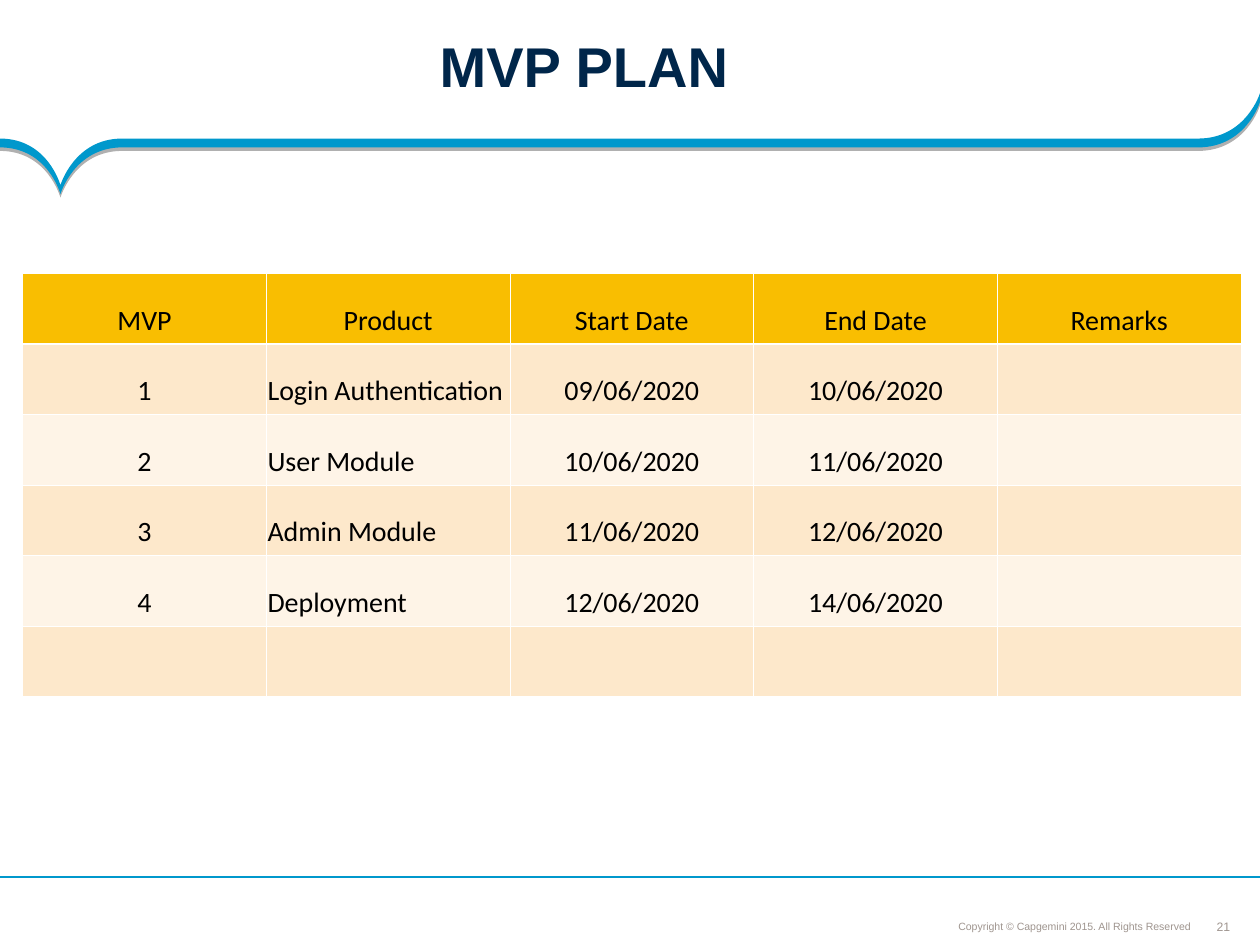
from dataclasses import dataclass

from lxml.etree import SubElement
from pptx import Presentation
from pptx.dml.color import RGBColor as Rgb
from pptx.enum.shapes import MSO_CONNECTOR as Link
from pptx.enum.text import MSO_ANCHOR as Anchor, PP_ALIGN as Align
from pptx.oxml import parse_xml
from pptx.oxml.ns import nsdecls, qn
from pptx.util import Inches, Pt


@dataclass(frozen=True)
class Theme:
    navy: str = "00264A"
    blue: str = "0098CC"
    gray: str = "9F958F"
    black: str = "000000"
    white: str = "FFFFFF"
    gold: str = "F9BE01"
    bands: tuple = ("FDE8CB", "FEF4E7")
    head: str = "Arial"
    body: str = "Calibri"
    title: float = 32
    cell: float = 16
    foot: float = 6
    page: float = 7


THEME = Theme()
ROWS = [
    ("MVP", "Product", "Start Date", "End Date", "Remarks"),
    ("1", "Login Authentication", "09/06/2020", "10/06/2020", ""),
    ("2", "User Module", "10/06/2020", "11/06/2020", ""),
    ("3", "Admin Module", "11/06/2020", "12/06/2020", ""),
    ("4", "Deployment", "12/06/2020", "14/06/2020", ""),
    ("", "", "", "", ""),
]


def style(para, face, size, color, align, bold=False):
    para.alignment = align
    for run in para.runs:
        font = run.font
        font.name, font.size, font.bold = face, Pt(size), bold
        font.color.rgb = Rgb.from_string(color)


def set_pads(item, pads):
    """Set left, top, right and bottom margins of a text frame or cell."""
    (item.margin_left, item.margin_top,
     item.margin_right, item.margin_bottom) = map(Inches, pads)


def add_label(slide, text, at, size, color, align, anchor,
              pads=(0, 0, 0, 0), bold=False, wrap=True):
    frame = slide.shapes.add_textbox(*map(Inches, at)).text_frame
    frame.word_wrap = wrap
    frame.vertical_anchor = anchor
    set_pads(frame, pads)
    frame.text = text
    para = frame.paragraphs[0]
    style(para, THEME.head, size, color, align, bold)
    return para


def bend(shape):
    """Turn each three line segments of a freeform into one Bezier curve."""
    lines = list(shape.element.iter(qn("a:lnTo")))
    for a, b, c in zip(lines[::3], lines[1::3], lines[2::3]):
        a.addprevious(curve := parse_xml(f'<a:cubicBezTo {nsdecls("a")}/>'))
        for line in (a, b, c):
            curve.append(line[0])
            line.getparent().remove(line)


def add_ribbon(slide):
    base, depth = 1.1, 0.07
    left, mid, right = (0, base), (0.97, base), (9.51, base)
    tip, end = (0.48, 1.47), (10, 0.74)
    upper = [left, (0.38, base), tip, tip,
             tip, (0.59, base), mid,
             mid, right, right,
             (9.89, base), end, end]
    lower = [(x, y + depth) for x, y in reversed(upper)]
    nodes = upper + [end, lower[0], *lower] + [lower[-1], left, left]
    points = [(Inches(x), Inches(y)) for x, y in nodes]
    pen = slide.shapes.build_freeform(*points[0])
    pen.add_line_segments(points[1:], close=True)
    shape = pen.convert_to_shape()
    bend(shape)
    shape.fill.solid()
    shape.fill.fore_color.rgb = Rgb.from_string(THEME.blue)
    shape.line.fill.background()
    shape.element.spPr.append(parse_xml(
        f'<a:effectLst {nsdecls("a")}>'
        f'<a:outerShdw blurRad="0" dist="{Pt(2)}" dir="5400000" rotWithShape="0">'
        f'<a:srgbClr val="{THEME.black}"><a:alpha val="31000"/></a:srgbClr>'
        '</a:outerShdw></a:effectLst>'))


def add_rule(slide, y):
    rule = slide.shapes.add_connector(
        Link.STRAIGHT, Inches(10), Inches(y), 0, Inches(y))
    rule.line.color.rgb = Rgb.from_string(THEME.blue)
    rule.line.width = Pt(0.75)
    SubElement(rule.element.spPr, qn("a:effectLst"))


def add_edges(cell, row):
    """Draw white borders, heavier between the header and the body."""
    props = cell._tc.get_or_add_tcPr()
    for side in "LRTB":
        heavy = (row, side) in ((0, "B"), (1, "T"))
        width = Pt(1.47 if heavy else 0.45)
        props.append(parse_xml(
            f'<a:ln{side} {nsdecls("a")} w="{width}"><a:solidFill>'
            f'<a:srgbClr val="{THEME.white}"/></a:solidFill></a:ln{side}>'))


def add_plan(slide, left, top, width, height):
    grid = slide.shapes.add_table(
        len(ROWS), len(ROWS[0]), *map(Inches, (left, top, width, height))).table
    grid.first_row = grid.horz_banding = False
    for i, row in enumerate(ROWS):
        for j, text in enumerate(row):
            cell = grid.cell(i, j)
            add_edges(cell, i)
            cell.fill.solid()
            color = THEME.bands[(i - 1) % 2] if i else THEME.gold
            cell.fill.fore_color.rgb = Rgb.from_string(color)
            cell.vertical_anchor = Anchor.BOTTOM
            set_pads(cell, (0.01, 0.05, 0.01, 0.05))
            cell.text = text
            align = Align.LEFT if i and j == 1 else Align.CENTER
            style(cell.text_frame.paragraphs[0], THEME.body, THEME.cell,
                  THEME.black, align)


def main():
    deck = Presentation()
    deck.slide_width, deck.slide_height = Inches(10), Inches(7.5)
    slide = deck.slides.add_slide(deck.slide_layouts[6])
    add_label(slide, "21", (9.49, 7.29, 0.44, 0.12), THEME.page, THEME.gray,
              Align.CENTER, Anchor.MIDDLE, wrap=False)
    add_ribbon(slide)
    note = add_label(slide, "Copyright © Capgemini 2015. All Rights Reserved",
                     (6.81, 7.24, 2.69, 0.2), THEME.foot, THEME.gray,
                     Align.RIGHT, Anchor.BOTTOM, (0.04, 0.04, 0.05, 0.04))
    note.line_spacing = 0.9
    add_rule(slide, 6.96)
    title = add_label(slide, "MVP PLAN", (0.16, 0.01, 10, 1.1), THEME.title,
                      THEME.navy, Align.LEFT, Anchor.MIDDLE,
                      (3.33, 0.04, 0.18, 0.04), bold=True)
    title.line_spacing = 0.85
    add_plan(slide, 0.18, 2.17, 9.67, 3.36)
    deck.save("out.pptx")


if __name__ == "__main__":
    main()
